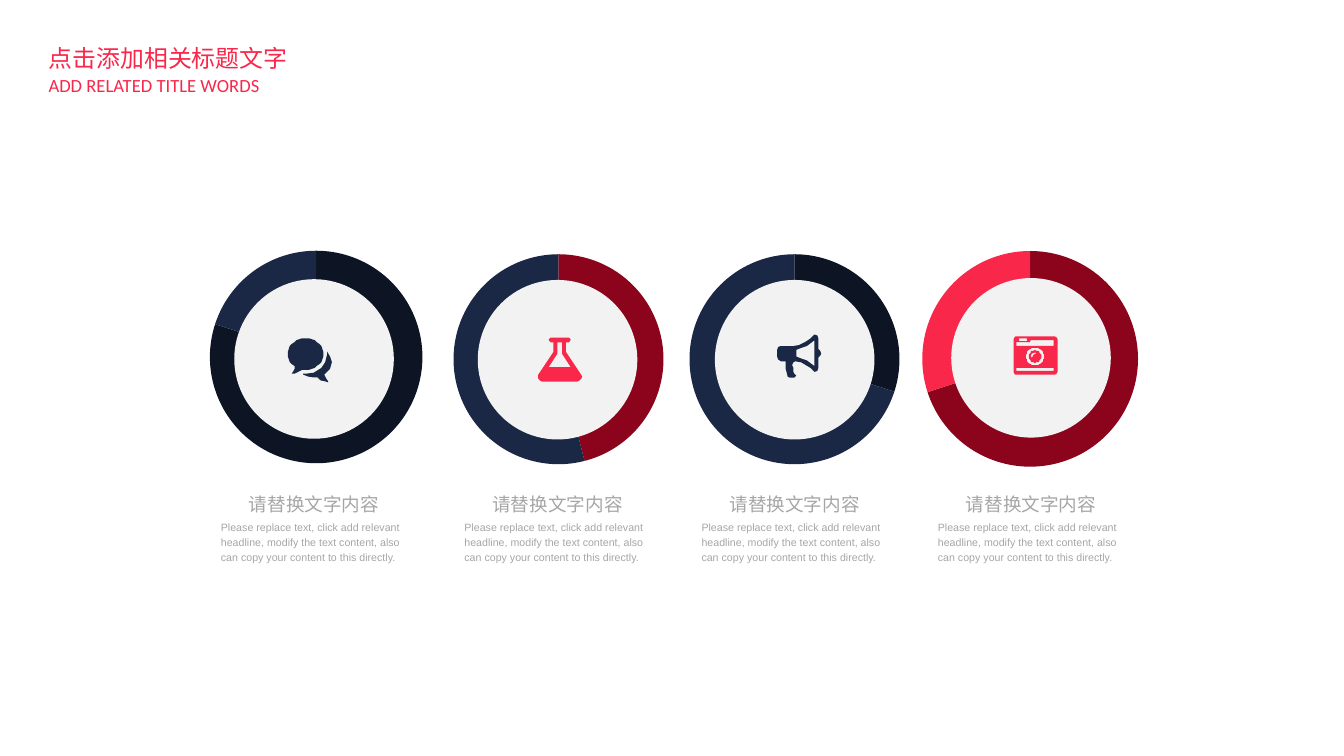
from dataclasses import dataclass
from math import cos, radians, sin

from lxml import etree
from pptx import Presentation
from pptx.chart.data import CategoryChartData
from pptx.dml.color import RGBColor
from pptx.enum.chart import XL_CHART_TYPE
from pptx.enum.shapes import MSO_SHAPE
from pptx.enum.text import MSO_ANCHOR, MSO_AUTO_SIZE, PP_ALIGN
from pptx.oxml import parse_xml
from pptx.oxml.ns import nsdecls, qn
from pptx.util import Cm, Pt

PIE = XL_CHART_TYPE.PIE
OVAL = MSO_SHAPE.OVAL
TOP, MIDDLE = MSO_ANCHOR.TOP, MSO_ANCHOR.MIDDLE
LEFT, CENTER = PP_ALIGN.LEFT, PP_ALIGN.CENTER
FIXED_SIZE = MSO_AUTO_SIZE.NONE
TITLE_ONLY = 5


@dataclass(frozen=True)
class Theme:
    red: str = "F9274A"
    dark_red: str = "8C041B"
    navy: str = "1A2845"
    dark_navy: str = "0D1423"
    disc: str = "F1F2F1"
    grey: str = "A6A6A6"
    black: str = "000000"
    latin: str = "Arial"
    english_title: str = "Calibri"
    chinese: str = "Noto Sans CJK SC"
    title_size: int = 18
    heading_size: int = 14
    body_size: int = 8
    chart_size: int = 30


@dataclass(frozen=True)
class Box:
    """A rectangle in centimetres."""
    left: float
    top: float
    width: float
    height: float

    def inner(self, left, top, width, height):
        return Box(self.left + left, self.top + top, width, height)

    def lengths(self):
        return Cm(self.left), Cm(self.top), Cm(self.width), Cm(self.height)


@dataclass(frozen=True)
class Gauge:
    """One column; ring and icon places are relative to the column."""
    left: float
    values: tuple
    colors: tuple
    ring: tuple
    disc_top: float
    icon: list
    icon_color: str
    icon_place: tuple


THEME = Theme()
COLUMN_TOP, COLUMN_WIDTH, COLUMN_HEIGHT = 6.17, 4.95, 8.79
DISC_SIZE = 4.24
ICON_SIZE, ICON_UNITS = 1.17, 46
HEADING = "请替换文字内容"
BODY = ("Please replace text, click add relevant headline, modify the text "
        "content, also can copy your content to this directly.")


def arc(center_x, center_y, radius_x, radius_y, start=0, end=350):
    return [(center_x + radius_x * cos(radians(angle)),
             center_y + radius_y * sin(radians(angle)))
            for angle in range(start, end + 1, 10)]


def rectangle(left, top, right, bottom):
    return [(left, top), (right, top), (right, bottom), (left, bottom)]


# Icon outlines on a grid of 46 units; inner contours are holes.
CHAT = [
    arc(18.5, 16.5, 18.5, 16.5, 130, 460)
    + [(11, 35), (7, 37), (4, 37), (6, 34), (7, 32)],
    [(46, 25), (44, 32), (38, 38), (40, 42), (42, 45), (42, 46), (39, 45),
     (34, 44), (31, 41), (27, 41), (21, 40), (16, 38), (16, 37), (19, 37),
     (27, 36), (35, 31), (39, 25), (41, 17), (41, 14), (44, 19)],
]
FLASK = [
    [(45, 39), (46, 41), (45, 43), (43, 45), (41, 46), (4, 46), (2, 45),
     (0, 43), (0, 39), (16, 15), (16, 5), (13, 5), (12, 4), (11, 2), (12, 1),
     (13, 0), (32, 0), (33, 1), (34, 2), (33, 4), (32, 5), (29, 5), (29, 15)],
    [(11, 31), (34, 31), (25, 17), (25, 5), (20, 5), (20, 17)],
]
MEGAPHONE = [
    [(46, 20), (45, 22), (43, 24), (43, 35), (42, 38), (39, 39), (35, 35),
     (30, 32), (25, 29), (19, 28), (17, 29), (16, 31), (16, 33), (17, 35),
     (17, 39), (18, 41), (20, 43), (18, 45), (13, 45), (11, 44), (10, 40),
     (9, 36), (9, 28), (4, 28), (1, 26), (0, 23), (0, 16), (1, 13), (4, 12),
     (17, 12), (23, 11), (29, 8), (35, 4), (39, 0), (42, 1), (43, 4),
     (43, 15), (45, 17)],
    [(39, 6), (35, 9), (31, 12), (25, 14), (20, 16), (20, 23), (25, 25),
     (31, 27), (35, 30), (39, 33)],
]
CAMERA = [
    [(2, 0), (43, 0), (45, 1), (46, 3), (46, 37), (45, 39), (43, 40),
     (2, 40), (1, 39), (0, 37), (0, 3), (1, 1)],
    [(42, 4), (18, 4), (17, 6), (3, 6), (3, 10), (42, 10)],
    rectangle(3, 33, 42, 36),
    rectangle(6, 2, 14, 5),
    arc(22.5, 21, 9.5, 9.5),
    arc(22.5, 21, 6.5, 6.5),
    [(20, 21), (21, 19), (23, 18), (24, 18), (23, 17), (22, 17), (19, 18),
     (18, 21), (19, 22)],
]

GAUGES = [
    Gauge(5.87, (80, 20), (THEME.dark_navy, THEME.navy), (-0.79, 0, 6.63),
          1.25, CHAT, THEME.navy, (1.78, 2.82)),
    Gauge(12.34, (46, 54), (THEME.dark_red, THEME.navy), (-0.78, 0.1, 6.55),
          1.27, FLASK, THEME.red, (1.96, 2.8)),
    Gauge(18.64, (30, 70), (THEME.dark_navy, THEME.navy), (-0.81, 0.1, 6.55),
          1.27, MEGAPHONE, THEME.navy, (2.01, 2.72)),
    Gauge(24.92, (70, 30), (THEME.dark_red, THEME.red), (-0.92, 0, 6.73),
          1.22, CAMERA, THEME.red, (2.01, 2.77)),
]


def paint(shape, color):
    shape.shadow.inherit = False
    shape.fill.solid()
    shape.fill.fore_color.rgb = RGBColor.from_string(color)
    shape.line.fill.background()


def write_text(shape, text, size, color, font, align=LEFT, anchor=TOP,
               margins=(0, 0), wrap=True, spacing=1.0):
    frame = shape.text_frame
    frame.auto_size = FIXED_SIZE
    frame.word_wrap = wrap
    frame.vertical_anchor = anchor
    frame.margin_left = frame.margin_right = Cm(margins[0])
    frame.margin_top = frame.margin_bottom = Cm(margins[1])
    para = frame.paragraphs[0]
    para.alignment = align
    para.line_spacing = spacing
    span = para.add_run()
    span.text = text
    span.font.size = Pt(size)
    span.font.name = font
    span.font.color.rgb = RGBColor.from_string(color)
    east_asian = etree.SubElement(span.font._element, qn("a:ea"))
    east_asian.set("typeface", THEME.chinese)


def add_titles(page, box):
    title = page.shapes.title
    title.left, title.top, title.width, title.height = box.inner(0, 0, 6.96, 1.04).lengths()
    subtitle = page.shapes.add_textbox(*box.inner(0, 0.81, 6.2, 0.86).lengths())
    style = {"margins": (0.25, 0.13), "wrap": False}
    write_text(title, "点击添加相关标题文字", THEME.title_size, THEME.red,
               THEME.chinese, **style)
    write_text(subtitle, "ADD RELATED TITLE WORDS", THEME.heading_size,
               THEME.red, THEME.english_title, **style)


def add_ring(page, box, values, colors):
    data = CategoryChartData()
    data.categories = ["1", "2"]
    data.add_series("Series 1", values)
    chart = page.shapes.add_chart(PIE, *box.lengths(), data).chart
    chart.has_title = chart.has_legend = False
    chart.font.size = Pt(THEME.chart_size)
    chart.font.name = THEME.latin
    chart.font.color.rgb = RGBColor.from_string(THEME.black)
    plot = chart.plots[0]
    plot.vary_by_categories = True
    for index, color in enumerate(colors):
        slice_format = plot.series[0].points[index].format
        slice_format.fill.solid()
        slice_format.fill.fore_color.rgb = RGBColor.from_string(color)
        slice_format.line.fill.background()
    area = chart._chartSpace.find(".//" + qn("c:plotArea"))
    for old_layout in area.findall(qn("c:layout")):
        area.remove(old_layout)
    area.insert(0, parse_xml(
        f'<c:layout {nsdecls("c")}><c:manualLayout><c:layoutTarget val="inner"/>'
        '<c:xMode val="edge"/><c:yMode val="edge"/><c:x val="0.075"/>'
        '<c:y val="0.001"/><c:w val="0.852"/><c:h val="0.999"/>'
        '</c:manualLayout></c:layout>'))


def add_icon(page, box, contours, color):
    scale = Cm(box.width) / ICON_UNITS
    builder = page.shapes.build_freeform(*contours[0][0], scale=scale)
    for index, contour in enumerate(contours):
        if index:
            builder.move_to(*contour[0])
        builder.add_line_segments(contour[1:], close=True)
    paint(builder.convert_to_shape(Cm(box.left), Cm(box.top)), color)


def add_gauge(page, box, gauge):
    left, top, size = gauge.ring
    add_ring(page, box.inner(left, top, size, size), gauge.values, gauge.colors)
    disc_box = box.inner((box.width - DISC_SIZE) / 2, gauge.disc_top, DISC_SIZE, DISC_SIZE)
    paint(page.shapes.add_shape(OVAL, *disc_box.lengths()), THEME.disc)
    add_icon(page, box.inner(*gauge.icon_place, ICON_SIZE, ICON_SIZE),
             gauge.icon, gauge.icon_color)
    heading = page.shapes.add_textbox(*box.inner(0, 6.91, box.width, 0.61).lengths())
    write_text(heading, HEADING, THEME.heading_size, THEME.grey, THEME.latin,
               align=CENTER, anchor=MIDDLE)
    body = page.shapes.add_textbox(*box.inner(0, 7.6, box.width, 1.19).lengths())
    write_text(body, BODY, THEME.body_size, THEME.grey, THEME.latin, spacing=1.2)


def main():
    deck = Presentation()
    deck.slide_width, deck.slide_height = Cm(35.71), Cm(20.09)
    page = deck.slides.add_slide(deck.slide_layouts[TITLE_ONLY])
    add_titles(page, Box(1.04, 1.02, 6.96, 1.67))
    for gauge in GAUGES:
        add_gauge(page, Box(gauge.left, COLUMN_TOP, COLUMN_WIDTH, COLUMN_HEIGHT), gauge)
    deck.save("out.pptx")


if __name__ == "__main__":
    main()
